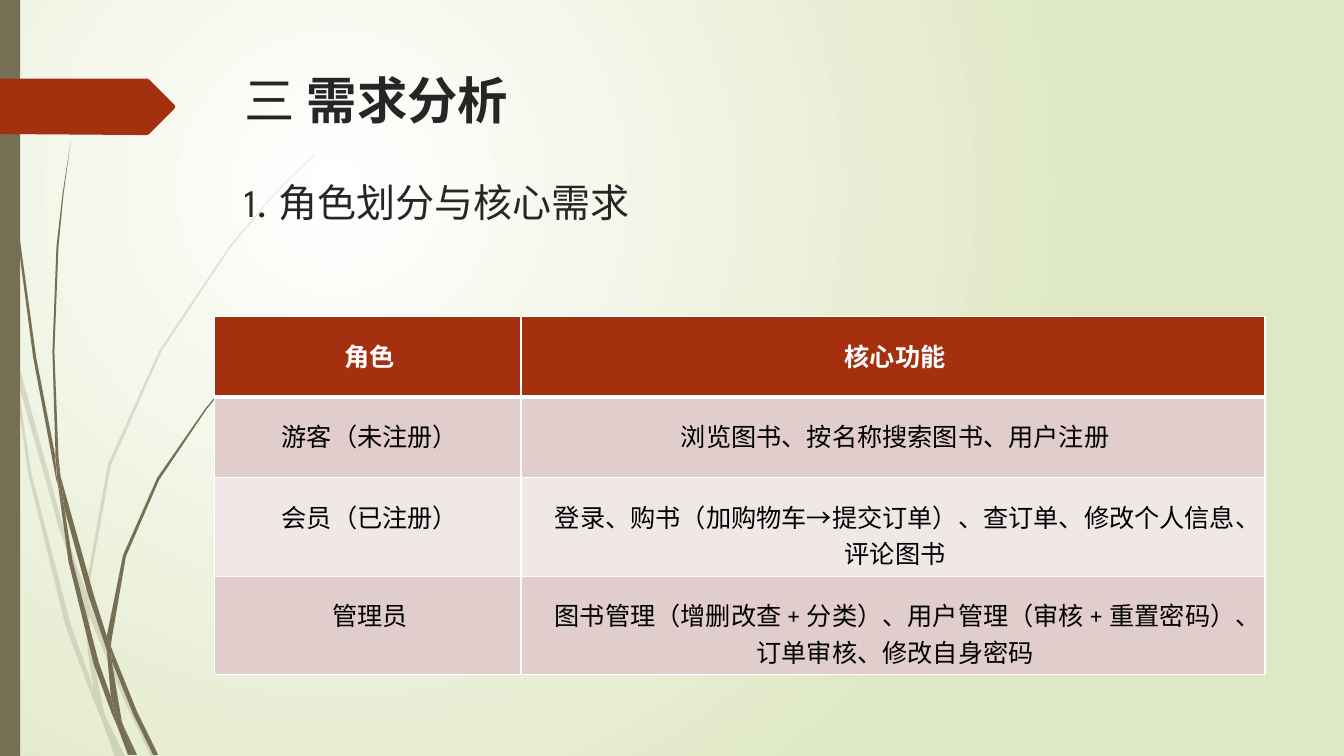
from dataclasses import dataclass

import pptx
import pptx.dml.color
import pptx.enum.shapes
import pptx.enum.text
import pptx.oxml
import pptx.oxml.ns
import pptx.util

Cm = pptx.util.Cm
Pt = pptx.util.Pt
RGB = pptx.dml.color.RGBColor.from_string
qn = pptx.oxml.ns.qn
NS = pptx.oxml.ns.nsdecls("a")


@dataclass(frozen=True)
class Theme:
    font: str = "League Spartan"
    title_size: float = 36
    subtitle_size: float = 27.9
    cell_size: float = 18
    ink: str = "262626"
    black: str = "000000"
    white: str = "FFFFFF"
    glow: str = "DFE8C4"
    accent: str = "A53010"
    stem: str = "766F54"
    band_dark: str = "E1CDCC"
    band_light: str = "F0E8E7"


THEME = Theme()

# Outlines are in hundredths of an inch.
PALE_STEMS = [
    [(11, 350), (9, 322), (0, 282), (0, 299), (10, 344)],
    [(58, 522), (84, 599), (85, 586), (62, 520), (14, 345), (17, 376)],
    [(92, 607), (88, 596), (88, 610), (123, 694), (150, 751), (155, 751),
     (127, 692)],
    [(119, 751), (124, 751), (105, 711)],
    [(93, 683), (70, 619), (31, 469), (17, 376), (11, 350), (28, 470),
     (65, 621), (92, 693), (101, 714), (99, 707)],
    [(84, 599), (87, 646), (93, 683), (96, 692), (105, 711), (103, 706),
     (91, 646), (88, 610), (88, 608)],
    [(88, 584), (110, 462), (160, 349), (229, 245), (268, 198), (290, 175),
     (312, 154), (312, 153), (289, 175), (268, 197), (228, 244), (158, 348),
     (107, 461), (85, 584), (85, 586), (88, 596)],
    [(101, 714), (114, 751), (119, 751)],
    [(88, 608), (88, 610), (88, 596), (85, 586), (84, 599)],
    [(96, 692), (93, 683), (99, 707), (101, 714), (119, 751), (105, 711)],
]
DARK_STEMS = [
    [(7, 110), (17, 233), (33, 355), (56, 477), (57, 481), (55, 457),
     (55, 453), (36, 355), (19, 232), (8, 109), (5, 48), (4, 0), (3, 0),
     (4, 48)],
    [(88, 592), (106, 645), (106, 633), (106, 631), (93, 590), (60, 472),
     (64, 505)],
    [(113, 649), (110, 641), (111, 656), (132, 708), (152, 749), (157, 749),
     (136, 706)],
    [(110, 691), (98, 657), (72, 556), (64, 505), (57, 477), (68, 557),
     (93, 659), (111, 708), (117, 722), (116, 717)],
    [(60, 472), (58, 453), (54, 349), (58, 245), (63, 193), (70, 141),
     (62, 193), (56, 245), (52, 349), (55, 449)],
    [(133, 749), (136, 749), (122, 719)],
    [(57, 477), (64, 505), (60, 472), (55, 449), (55, 453)],
    [(111, 633), (125, 552), (158, 476), (205, 406), (231, 374), (245, 359),
     (261, 344), (260, 344), (245, 358), (231, 373), (204, 405), (156, 474),
     (122, 551), (106, 631), (110, 641)],
    [(117, 722), (127, 749), (131, 749)],
    [(106, 645), (110, 691), (116, 706), (122, 719), (121, 716), (111, 656),
     (109, 651)],
    [(106, 645), (109, 651), (111, 656), (110, 641), (106, 631), (106, 633)],
    [(116, 706), (110, 691), (116, 717), (117, 722), (130, 749), (133, 749),
     (122, 719)],
]
ARROW = [(173, 108), (148, 133), (146, 134), (136, 134), (0, 133), (0, 78),
         (136, 78), (146, 78), (148, 79), (173, 104), (174, 106)]

ROLES = [
    ("角色", "核心功能"),
    ("游客（未注册）", "浏览图书、按名称搜索图书、用户注册"),
    ("会员（已注册）",
     "登录、购书（加购物车→提交订单）、查订单、修改个人信息、评论图书"),
    ("管理员",
     "图书管理（增删改查 + 分类）、用户管理（审核 + 重置密码）、订单审核、修改自身密码"),
]


def set_background(s):
    """Radial glow centred in the upper left quarter."""
    fill = s.background.fill
    fill.gradient()
    for stop, position, color in zip(fill.gradient_stops, (0, 1),
                                     (THEME.white, THEME.glow)):
        stop.position = position
        stop.color.rgb = RGB(color)
    lin = next(s.background.element.iter(qn("a:lin"))) if hasattr(
        s.background, "element") else next(s.element.iter(qn("a:lin")))
    lin.getparent().replace(lin, pptx.oxml.parse_xml(
        f'<a:path {NS} path="circle">'
        '<a:fillToRect l="50000" t="50000" r="100000" b="100000"/></a:path>'))


def paint(sp, color, opacity=100):
    sp.shadow.inherit = False
    sp.line.fill.background()
    sp.fill.solid()
    sp.fill.fore_color.rgb = RGB(color)
    if opacity < 100:
        clr = next(sp.element.spPr.iter(qn("a:srgbClr")))
        clr.append(pptx.oxml.parse_xml(
            f'<a:alpha {NS} val="{opacity * 1000}"/>'))


def add_outline(shapes, points, color, opacity=100):
    builder = shapes.build_freeform(*points[0], scale=Cm(2.54) / 100)
    builder.add_line_segments(points[1:], close=True)
    paint(builder.convert_to_shape(), color, opacity)


def add_stems(s, outlines, opacity):
    group = s.shapes.add_group_shape()
    for points in outlines:
        add_outline(group.shapes, points, THEME.stem, opacity)


def style_paragraph(p, size, color, bold=False):
    p.font.name = THEME.font
    p.font.size = Pt(size)
    p.font.bold = bold
    p.font.color.rgb = RGB(color)


def add_title(s):
    title = s.shapes.title
    title.element.getparent().append(title.element)  # above the stems
    title.left, title.top = Cm(5.92), Cm(1.73)
    title.width, title.height = Cm(24.77), Cm(3.56)
    tf = title.text_frame
    tf.word_wrap = True
    tf.auto_size = pptx.enum.text.MSO_AUTO_SIZE.NONE
    tf.vertical_anchor = pptx.enum.text.MSO_ANCHOR.TOP
    tf.margin_top = 0
    heading, subtitle = tf.paragraphs[0], tf.add_paragraph()
    heading.add_run().text = "三 "
    r = heading.add_run()
    r.text = "需求分析"
    r.font.bold = True
    subtitle.text = "1. 角色划分与核心需求"
    subtitle.space_before = Pt(35)
    for p, size in ((heading, THEME.title_size),
                    (subtitle, THEME.subtitle_size)):
        p.alignment = pptx.enum.text.PP_ALIGN.LEFT
        style_paragraph(p, size, THEME.ink)


def set_borders(cell, **widths):
    """White borders; widths in points by side: L, R, T, B."""
    tc_pr = cell._tc.get_or_add_tcPr()
    for side, width in widths.items():
        tc_pr.append(pptx.oxml.parse_xml(
            f'<a:ln{side} {NS} w="{Pt(width)}"><a:solidFill>'
            f'<a:srgbClr val="{THEME.white}"/></a:solidFill></a:ln{side}>'))


def format_cell(cell, text, row):
    header = row == 0
    cell.margin_left, cell.margin_right = Cm(0.81), Cm(0.71)
    cell.margin_top, cell.margin_bottom = Cm(0.51), Cm(0.13)
    set_borders(cell, L=1, R=1, T=3 if row == 1 else 1, B=3 if header else 1)
    cell.fill.solid()
    band = THEME.band_dark if row % 2 else THEME.band_light
    cell.fill.fore_color.rgb = RGB(THEME.accent if header else band)
    p = cell.text_frame.paragraphs[0]
    p.text = text
    p.alignment = pptx.enum.text.PP_ALIGN.CENTER
    style_paragraph(p, THEME.cell_size,
                    THEME.white if header else THEME.black, header)


def add_role_table(s):
    widths = (Cm(7.72), Cm(18.75))
    table = s.shapes.add_table(len(ROLES), len(widths), Cm(5.41), Cm(7.98),
                               sum(widths), Cm(2.03) * len(ROLES)).table
    for column, width in zip(table.columns, widths):
        column.width = width
    for row, texts in enumerate(ROLES):
        for col, text in enumerate(texts):
            format_cell(table.cell(row, col), text, row)


def main():
    prs = pptx.Presentation()
    prs.slide_width, prs.slide_height = Cm(33.87), Cm(19.05)
    s = prs.slides.add_slide(prs.slide_layouts[5])
    set_background(s)
    add_stems(s, PALE_STEMS, 20)
    add_stems(s, DARK_STEMS, 100)
    side_bar = s.shapes.add_shape(pptx.enum.shapes.MSO_SHAPE.RECTANGLE,
                                  0, 0, Cm(0.51), prs.slide_height)
    paint(side_bar, THEME.stem)
    add_outline(s.shapes, ARROW, THEME.accent)
    add_title(s)
    add_role_table(s)
    prs.save("out.pptx")


if __name__ == "__main__":
    main()
